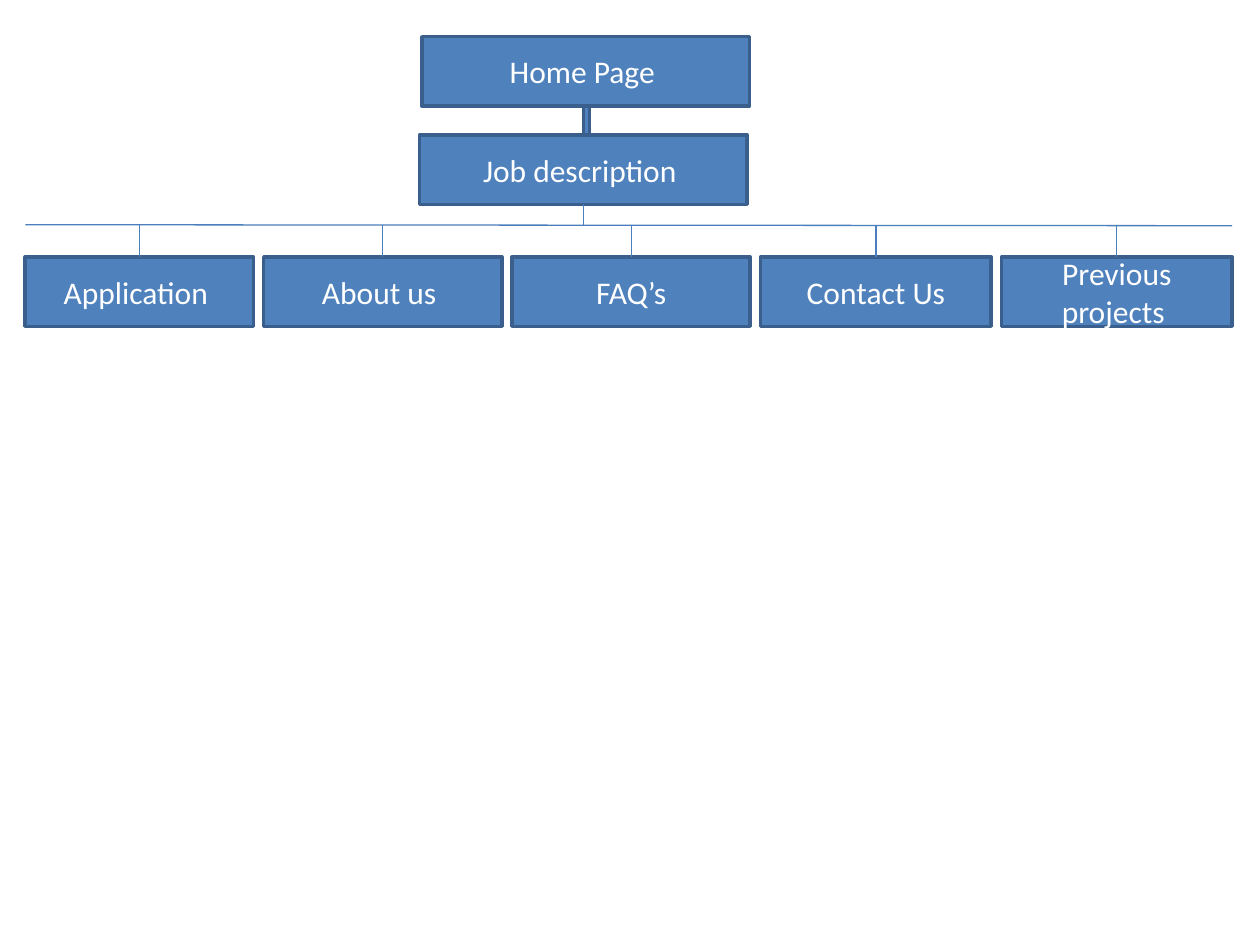
from dataclasses import dataclass

import pptx
import pptx.dml.color
import pptx.enum.shapes
import pptx.enum.text
import pptx.oxml
import pptx.util

Cm = pptx.util.Cm
RGBColor = pptx.dml.color.RGBColor
SHAPES = pptx.enum.shapes.MSO_SHAPE


@dataclass(frozen=True)
class Theme:
    """Colours, font and line widths of the site map."""
    fill: RGBColor = RGBColor(0x4F, 0x81, 0xBD)
    border: RGBColor = RGBColor(0x3A, 0x5F, 0x8C)
    connector: RGBColor = RGBColor(0x4B, 0x7E, 0xBC)
    text: RGBColor = RGBColor(0xFF, 0xFF, 0xFF)
    font: str = "Calibri"
    text_size: float = 18
    border_width: float = 2
    connector_width: float = 0.75


@dataclass(frozen=True)
class Box:
    """A region in centimetres."""
    left: float
    top: float
    width: float
    height: float


THEME = Theme()
NODE_HEIGHT = 1.4
BRANCHES = [("Application ", 4.6), ("About us ", 4.8), ("FAQ’s", 4.8),
            ("Contact Us", 4.65), ("Previous projects ", 4.65)]


def add_node(slide, box, label=""):
    """Draw one bordered rectangle with an optional centred label."""
    shape = slide.shapes.add_shape(
        SHAPES.RECTANGLE, Cm(box.left), Cm(box.top), Cm(box.width), Cm(box.height))
    shape.shadow.inherit = False
    shape.fill.solid()
    shape.fill.fore_color.rgb = THEME.fill
    shape.line.color.rgb = THEME.border
    shape.line.width = pptx.util.Pt(THEME.border_width)
    if label:
        frame = shape.text_frame
        frame.word_wrap = True
        frame.vertical_anchor = pptx.enum.text.MSO_ANCHOR.MIDDLE
        paragraph = frame.paragraphs[0]
        paragraph.alignment = pptx.enum.text.PP_ALIGN.CENTER
        run = paragraph.add_run()
        run.text = label
        run.font.name = THEME.font
        run.font.size = pptx.util.Pt(THEME.text_size)
        run.font.color.rgb = THEME.text


def add_line(slide, start, end):
    """Draw a thin straight connector between two points."""
    connector = slide.shapes.add_connector(
        pptx.enum.shapes.MSO_CONNECTOR.STRAIGHT, *map(Cm, start + end))
    connector.line.color.rgb = THEME.connector
    connector.line.width = pptx.util.Pt(THEME.connector_width)
    properties = connector._element.spPr
    properties.append(properties.makeelement(pptx.oxml.ns.qn("a:effectLst"), {}))


def add_trunk(slide, box):
    """Stack the home page over the job description, joined by a stem."""
    node_width = box.width - 0.05
    lower_top = box.top + box.height - NODE_HEIGHT
    stem_top = box.top + NODE_HEIGHT
    add_node(slide, Box(box.left + 0.05, box.top, node_width, NODE_HEIGHT), "Home Page ")
    add_node(slide, Box(box.left, lower_top, node_width, NODE_HEIGHT), "Job description ")
    add_node(slide, Box(box.left + node_width / 2, stem_top, 0.13, lower_top - stem_top))


def add_branches(slide, box, trunk):
    """Hang a row of pages with equal gaps from a line below the trunk."""
    node_top = box.top + box.height - NODE_HEIGHT
    right = box.left + box.width
    gap = (box.width - sum(width for _, width in BRANCHES)) / (len(BRANCHES) - 1)
    trunk_center = trunk.left + (trunk.width - 0.05) / 2
    add_line(slide, (box.left, box.top), (right, box.top + 0.02))
    add_line(slide, (trunk_center, trunk.top + trunk.height), (trunk_center, box.top))
    left = box.left
    for label, width in BRANCHES:
        center = left + width / 2
        add_node(slide, Box(left, node_top, width, NODE_HEIGHT), label)
        add_line(slide, (center, box.top), (center, node_top))
        left += width + gap


def main():
    """Build and save the site map."""
    presentation = pptx.Presentation()
    presentation.slide_width = Cm(25.4)
    presentation.slide_height = Cm(19.05)
    slide = presentation.slides.add_slide(presentation.slide_layouts[6])
    trunk = Box(8.46, 0.74, 6.65, 3.38)
    add_trunk(slide, trunk)
    add_branches(slide, Box(0.51, 4.53, 24.33, 2.05), trunk)
    presentation.save("out.pptx")


main()
